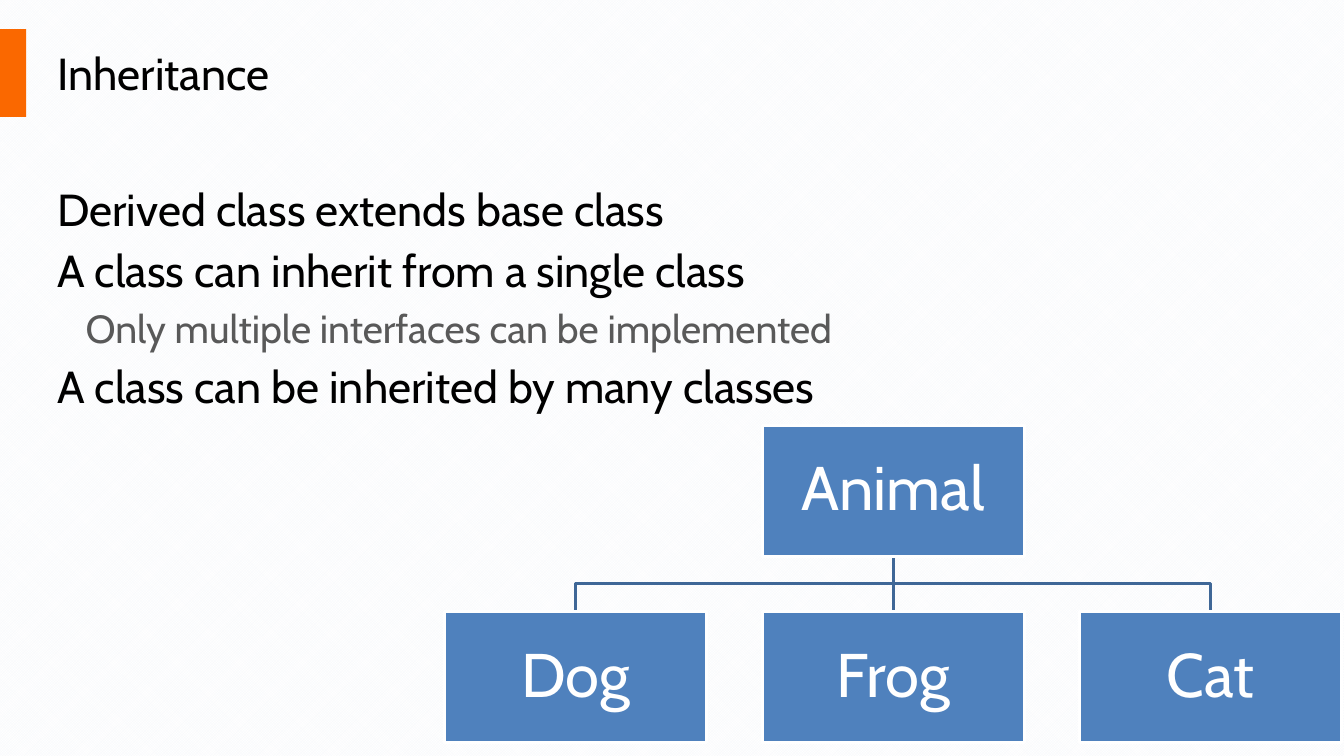
import pptx
import pptx.dml.color
import pptx.enum.dml
import pptx.enum.shapes
import pptx.enum.text
import pptx.oxml
import pptx.util

PIXEL = 9144
TITLE_ONLY = 5


def px(length):
    return pptx.util.Emu(length * PIXEL)


def color(value):
    return pptx.dml.color.RGBColor.from_string(value)


class SlideBuilder:
    font = "Cabin"
    accent = "FA6800"
    black = "000000"
    gray = "595959"
    white = "FFFFFF"
    box_fill = "4F81BD"
    line_color = "3F6797"
    line_width = 2

    def __init__(self, presentation):
        self.slide = presentation.slides.add_slide(presentation.slide_layouts[TITLE_ONLY])

    def background(self, foreground, background):
        fill = self.slide.background.fill
        fill.patterned()
        fill.pattern = pptx.enum.dml.MSO_PATTERN.SMALL_CHECKER_BOARD
        fill.fore_color.rgb = color(foreground)
        fill.back_color.rgb = color(background)

    def add_run(self, paragraph, text, size, text_color):
        run = paragraph.add_run()
        run.text = text
        run.font.name = self.font
        run.font.size = pptx.util.Pt(size)
        run.font.color.rgb = color(text_color)

    def title(self, left, top, width, height, text):
        shape = self.slide.shapes.title
        shape.left, shape.top, shape.width, shape.height = map(px, (left, top, width, height))
        frame = shape.text_frame
        frame.auto_size = pptx.enum.text.MSO_AUTO_SIZE.NONE
        frame.vertical_anchor = pptx.enum.text.MSO_ANCHOR.MIDDLE
        paragraph = frame.paragraphs[0]
        paragraph.alignment = pptx.enum.text.PP_ALIGN.LEFT
        self.add_run(paragraph, text, 32, self.black)

    def outline(self, left, top, width, height, entries):
        shape = self.slide.shapes.add_textbox(*map(px, (left, top, width, height)))
        frame = shape.text_frame
        frame.word_wrap = True
        for index, (level, text) in enumerate(entries):
            paragraph = frame.add_paragraph() if index else frame.paragraphs[0]
            paragraph.space_before = pptx.util.Pt(5.5)
            paragraph.level = level
            if level:
                properties = paragraph._p.get_or_add_pPr()
                properties.set("marL", str(px(28)))
                properties.set("indent", "0")
            size, text_color = (28, self.gray) if level else (32, self.black)
            self.add_run(paragraph, text, size, text_color)

    def rectangle(self, left, top, width, height, fill):
        shape = self.slide.shapes.add_shape(
            pptx.enum.shapes.MSO_SHAPE.RECTANGLE, *map(px, (left, top, width, height)))
        shape.shadow.inherit = False
        shape.fill.solid()
        shape.fill.fore_color.rgb = color(fill)
        shape.line.fill.background()
        return shape

    def class_box(self, left, top, width, height, name):
        shape = self.rectangle(left, top, width, height, self.box_fill)
        self.style_line(shape, self.white)
        frame = shape.text_frame
        frame.word_wrap = True
        frame.vertical_anchor = pptx.enum.text.MSO_ANCHOR.MIDDLE
        frame.margin_left = frame.margin_right = px(3)
        frame.margin_top = frame.margin_bottom = px(3)
        paragraph = frame.paragraphs[0]
        paragraph.alignment = pptx.enum.text.PP_ALIGN.CENTER
        paragraph.line_spacing = 0.9
        self.add_run(paragraph, name, 44, self.white)

    def style_line(self, shape, line_color):
        shape.line.color.rgb = color(line_color)
        shape.line.width = pptx.util.Pt(self.line_width)

    def straight_line(self, start_x, start_y, end_x, end_y):
        connector = self.slide.shapes.add_connector(
            pptx.enum.shapes.MSO_CONNECTOR.STRAIGHT,
            *map(px, (start_x, start_y, end_x, end_y)))
        self.style_line(connector, self.line_color)
        connector._element.spPr.append(pptx.oxml.parse_xml(
            '<a:effectLst xmlns:a="http://schemas.openxmlformats.org/drawingml/2006/main"/>'))

    def open_path(self, points):
        builder = self.slide.shapes.build_freeform(*points[0], scale=PIXEL)
        builder.add_line_segments(points[1:], close=False)
        shape = builder.convert_to_shape()
        shape.shadow.inherit = False
        shape.fill.background()
        self.style_line(shape, self.line_color)

    def class_tree(self, left, top, base, derived):
        width, height, column_step, row_step = 260, 130, 315, 185
        columns = [left + column_step * index for index in range(len(derived))]
        centers = [column + width // 2 for column in columns]
        base_left = (columns[0] + columns[-1]) // 2
        base_center = base_left + width // 2
        derived_top = top + row_step
        middle = (top + height + derived_top) // 2
        self.open_path([(centers[0], derived_top), (centers[0], middle),
                        (centers[-1], middle), (centers[-1], derived_top)])
        self.straight_line(base_center, top + height, base_center, derived_top)
        self.class_box(base_left, top, width, height, base)
        for column, name in zip(columns, derived):
            self.class_box(column, derived_top, width, height, name)


def main():
    presentation = pptx.Presentation()
    presentation.slide_width = px(1333)
    presentation.slide_height = px(750)
    builder = SlideBuilder(presentation)
    builder.background("F6F8FC", "FFFFFF")
    builder.rectangle(0, 29, 26, 87, builder.accent)
    builder.title(47, 29, 945, 85, "Inheritance")
    builder.outline(47, 175, 1184, 495, [
        (0, "Derived class extends base class"),
        (0, "A class can inherit from a single class"),
        (1, "Only multiple interfaces can be implemented"),
        (0, "A class can be inherited by many classes"),
    ])
    builder.class_tree(441, 422, "Animal", ["Dog", "Frog", "Cat"])
    presentation.save("out.pptx")


if __name__ == "__main__":
    main()
